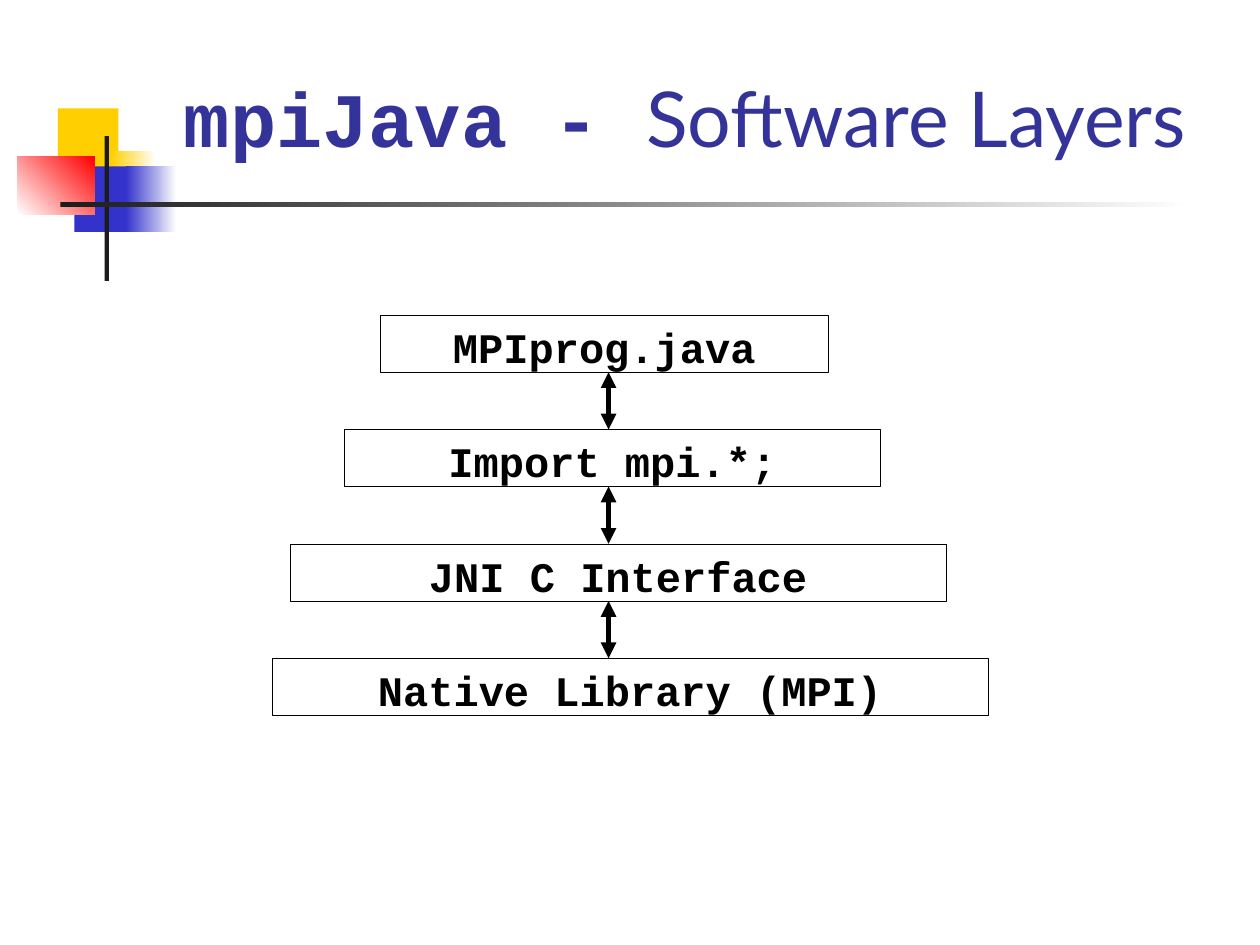
from pptx import Presentation
from pptx.dml.color import RGBColor
from pptx.enum.shapes import MSO_CONNECTOR as Connector, MSO_SHAPE as Shape
from pptx.enum.text import MSO_ANCHOR as Anchor, MSO_AUTO_SIZE as AutoSize, PP_ALIGN as Align
from pptx.oxml.ns import qn
from pptx.util import Inches, Pt
from lxml.etree import SubElement

COLUMNS, ROWS = 100, 75
YELLOW, BLUE, RED = "FFCF01", "3333CC", "FF0000"
WHITE, BLACK, CHARCOAL, NAVY = "FFFFFF", "000000", "1C1C1C", "333399"
CODE_FONT, TITLE_FONT = "Courier New", "Lato"


def color(hex_string):
    return RGBColor.from_string(hex_string)


class SlideBuilder:
    def __init__(self, presentation):
        self.column = presentation.slide_width / COLUMNS
        self.row = presentation.slide_height / ROWS
        self.slide = presentation.slides.add_slide(presentation.slide_layouts[5])

    def place(self, left, top, width, height):
        return (round(left * self.column), round(top * self.row),
                round(width * self.column), round(height * self.row))

    def add_run(self, paragraph, text, size, font, hex_string, bold):
        run = paragraph.add_run()
        run.text = text
        run.font.size = Pt(size)
        run.font.name = font
        run.font.bold = bold
        run.font.color.rgb = color(hex_string)

    def title(self, area, runs):
        shape = self.slide.shapes.title
        shape.left, shape.top, shape.width, shape.height = self.place(*area)
        frame = shape.text_frame
        frame.auto_size = AutoSize.NONE
        frame.word_wrap = True
        frame.vertical_anchor = Anchor.BOTTOM
        paragraph = frame.paragraphs[0]
        paragraph.alignment = Align.LEFT
        for text, font, bold in runs:
            self.add_run(paragraph, text, 44, font, NAVY, bold)

    def block(self, area, start, end=None, angle=0):
        shape = self.slide.shapes.add_shape(Shape.RECTANGLE, *self.place(*area))
        shape.shadow.inherit = False
        shape.line.fill.background()
        if end is None:
            shape.fill.solid()
            shape.fill.fore_color.rgb = color(start)
        else:
            shape.fill.gradient()
            shape.fill.gradient_angle = angle
            for stop, hex_string in zip(shape.fill.gradient_stops, (start, end)):
                stop.color.rgb = color(hex_string)
        return shape

    def layer(self, area, text):
        shape = self.block(area, WHITE)
        shape.line.color.rgb = color(BLACK)
        shape.line.width = Pt(0.25)
        frame = shape.text_frame
        frame.word_wrap = True
        frame.vertical_anchor = Anchor.TOP
        paragraph = frame.paragraphs[0]
        paragraph.alignment = Align.CENTER
        paragraph.space_before = Pt(6)
        self.add_run(paragraph, text, 24, CODE_FONT, BLACK, True)

    def double_arrow(self, column, top, bottom):
        left, start, _, length = self.place(column, top, 0, bottom - top)
        connector = self.slide.shapes.add_connector(
            Connector.STRAIGHT, left, start, left, start + length)
        connector.line.color.rgb = color(BLACK)
        connector.line.width = Pt(3)
        outline = connector.line._get_or_add_ln()
        for end in ("a:headEnd", "a:tailEnd"):
            SubElement(outline, qn(end), type="triangle")
        SubElement(connector._element.spPr, qn("a:effectLst"))


def main():
    presentation = Presentation()
    presentation.slide_width, presentation.slide_height = Inches(10), Inches(7.5)
    builder = SlideBuilder(presentation)

    ornament = [
        ((4.6, 8.6, 4.8, 5.2), YELLOW),
        ((8.8, 12, 3.6, 5.2), YELLOW, WHITE),
        ((5.9, 13.2, 4.6, 5.2), BLUE),
        ((10, 13.2, 4, 5.2), BLUE, WHITE),
        ((1.4, 12.4, 6.1, 4.6), WHITE, RED, 45),
        ((8.3, 10.8, 0.35, 11.5), CHARCOAL),
        ((4.8, 16.05, 90, 0.35), CHARCOAL, WHITE),
    ]
    for block in ornament:
        builder.block(*block)

    builder.title((13.6, 4.2, 83.9, 9.2), [
        ("mpiJava - ", CODE_FONT, True),
        ("Software Layers", TITLE_FONT, False),
    ])

    layers = [
        ("MPIprog.java", 30.2, 35.5),
        ("Import mpi.*;", 27.3, 42.6),
        ("JNI C Interface", 23, 52.1),
        ("Native Library (MPI)", 21.6, 56.8),
    ]
    first_top, pitch, height, arrow_column = 25, 9.08, 4.54, 48.3
    for index, (text, left, width) in enumerate(layers):
        top = first_top + index * pitch
        builder.layer((left, top, width, height), text)
        if index:
            builder.double_arrow(arrow_column, top - pitch + height, top)

    presentation.save("out.pptx")


if __name__ == "__main__":
    main()
